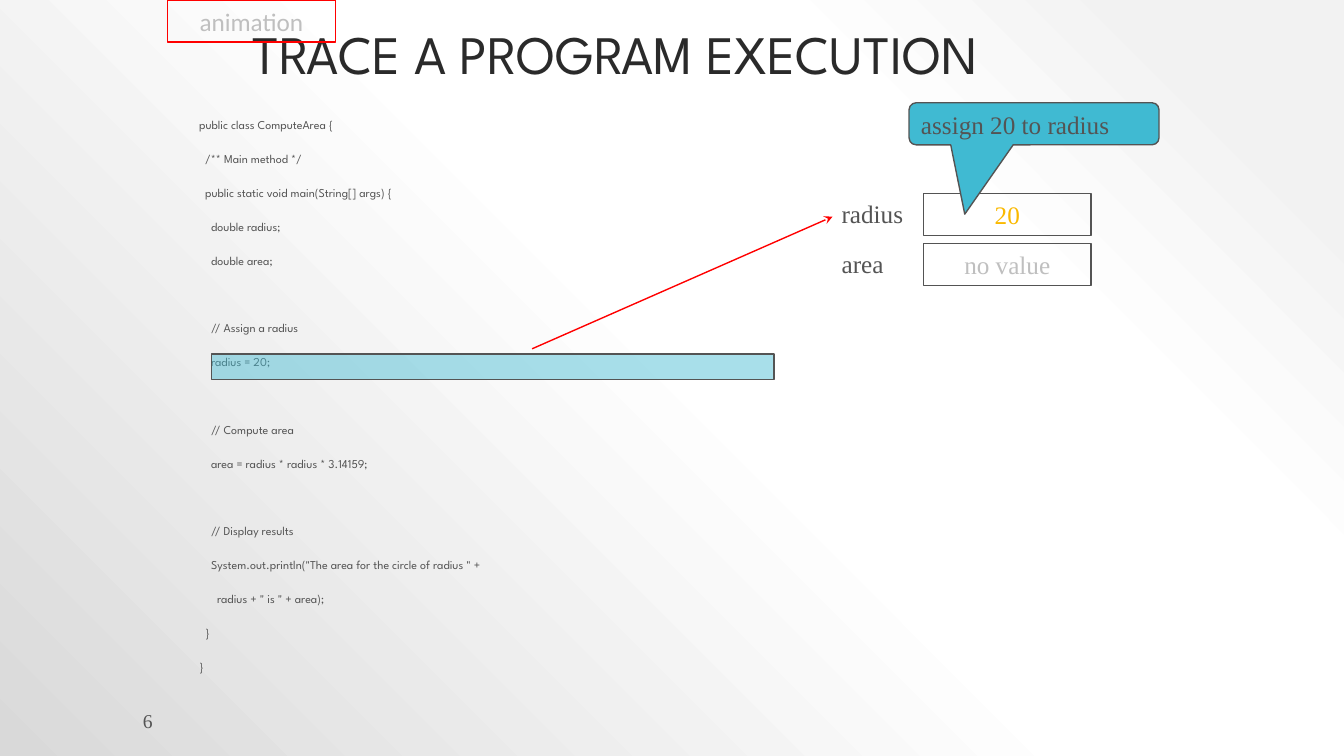
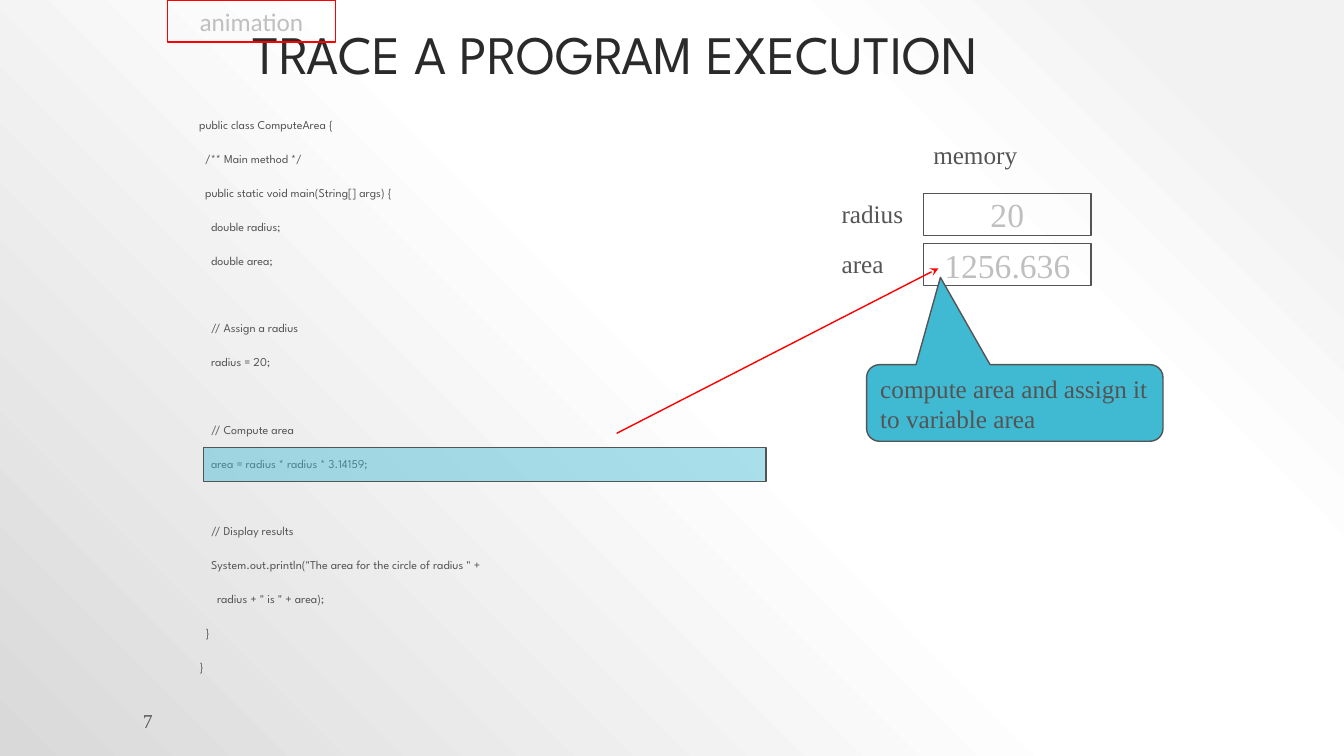
from lxml import etree
from pptx import Presentation
from pptx.dml.color import RGBColor
from pptx.enum.shapes import MSO_CONNECTOR, MSO_SHAPE
from pptx.enum.text import MSO_ANCHOR, MSO_AUTO_SIZE, PP_ALIGN
from pptx.oxml.ns import qn
from pptx.util import Cm, Pt

RECT = MSO_SHAPE.RECTANGLE
CALLOUT = MSO_SHAPE.ROUNDED_RECTANGULAR_CALLOUT
STRAIGHT = MSO_CONNECTOR.STRAIGHT
LEFT, CENTER = PP_ALIGN.LEFT, PP_ALIGN.CENTER
TOP, MIDDLE, BOTTOM = MSO_ANCHOR.TOP, MSO_ANCHOR.MIDDLE, MSO_ANCHOR.BOTTOM
NO_FIT = MSO_AUTO_SIZE.NONE

COLORS = {
    "text": "545454",
    "title": "2A2A2A",
    "muted": "BFBFBF",
    "new_value": "FAB900",
    "accent": "40BAD2",
    "signal": "FF0000",
}
BACKDROP = [(10, "F2F2F2"), (28, "FFFFFF"), (48, "FFFFFF"), (100, "D9D9D9")]
SERIF, SANS, DISPLAY = "Times New Roman", "Calibri", "League Spartan"

CELL_LEFT, CELL_WIDTH, CELL_HEIGHT = 23.27, 4.23, 1.06
MEMORY_TOP, MEMORY_PITCH = 4.87, 1.27

TITLE = "TRACE A PROGRAM EXECUTION"
CODE = """public class ComputeArea {
  /** Main method */
  public static void main(String[] args) {
    double radius;
    double area;
    
    // Assign a radius
    radius = 20;
    
    // Compute area
    area = radius * radius * 3.14159;
    
    // Display results
    System.out.println("The area for the circle of radius " +
      radius + " is " + area);
  }
}"""


def color(name):
    return RGBColor.from_string(COLORS[name])


def add_xml(parent, tag, **attributes):
    return etree.SubElement(parent, qn(tag), attributes)


class TraceDeck:
    def __init__(self):
        self.prs = Presentation()
        self.prs.slide_width, self.prs.slide_height = Cm(33.87), Cm(19.05)
        self.slide = None
        self.paint_backdrop()

    def paint_backdrop(self):
        master = self.prs.slide_master
        master.background.fill.gradient()
        gradient = master.element.find(".//" + qn("p:bg")).find(".//" + qn("a:gradFill"))
        for child in list(gradient):
            gradient.remove(child)
        stops = add_xml(gradient, "a:gsLst")
        for position, shade in BACKDROP:
            stop = add_xml(stops, "a:gs", pos=str(position * 1000))
            add_xml(stop, "a:srgbClr", val=shade)
        circle = add_xml(gradient, "a:path", path="circle")
        add_xml(circle, "a:fillToRect", l="100000", b="100000")

    def set_text(self, shape, text, size=18, font=SERIF, ink="text",
                 align=LEFT, anchor=TOP, wrap=True):
        frame = shape.text_frame
        frame.auto_size = NO_FIT
        frame.word_wrap = wrap
        frame.vertical_anchor = anchor
        frame.text = text
        for paragraph in frame.paragraphs:
            paragraph.alignment = align
            paragraph.font.size = Pt(size)
            paragraph.font.name = font
            paragraph.font.color.rgb = color(ink)
        return frame

    def start(self, number):
        self.slide = self.prs.slides.add_slide(self.prs.slide_layouts[5])
        title = self.slide.shapes.title
        title.left, title.top, title.width, title.height = map(Cm, (6.12, 0.84, 21.59, 1.47))
        heading = self.set_text(title, TITLE, 38.7, DISPLAY, "title", anchor=BOTTOM)
        heading.paragraphs[0].line_spacing = 0.9
        self.label((3.35, 17.91, 18.44, 0.51), str(number), size=14, anchor=MIDDLE)
        self.code()

    def label(self, box, text, **style):
        area = self.slide.shapes.add_textbox(*map(Cm, box))
        return self.set_text(area, text, **style)

    def code(self):
        listing = self.label((4.65, 2.97, 15.44, 14.4), CODE, size=8.6, font=DISPLAY)
        for index, line in enumerate(listing.paragraphs):
            line.line_spacing = 0.6
            line.space_before = Pt(18 if index else 0)
            properties = line._p.get_or_add_pPr()
            properties.set("marL", str(Cm(0.76)))
            properties.set("indent", str(Cm(-0.64)))

    def shape(self, kind, box, fill=None, outline="text"):
        shape = self.slide.shapes.add_shape(kind, *map(Cm, box))
        shape.shadow.inherit = False
        if fill:
            shape.fill.solid()
            shape.fill.fore_color.rgb = color(fill)
        else:
            shape.fill.background()
        shape.line.color.rgb = color(outline)
        shape.line.width = Pt(1)
        return shape

    def framed(self, box, text, outline="text", **style):
        self.set_text(self.shape(RECT, box, outline=outline), text,
                      align=CENTER, anchor=MIDDLE, wrap=False, **style)

    def memory(self, variables):
        for row, (name, value, size, ink) in enumerate(variables):
            top = MEMORY_TOP + row * MEMORY_PITCH
            self.framed((CELL_LEFT, top, CELL_WIDTH, CELL_HEIGHT), value, size=size, ink=ink)
            self.label((20.96, top, 2.33, 1.02), name)

    def highlight(self, box):
        band = self.shape(RECT, box, "accent")
        shade = band._element.spPr.find(qn("a:solidFill")).find(qn("a:srgbClr"))
        add_xml(shade, "a:alpha", val="45000")

    def callout(self, box, text, tip):
        bubble = self.shape(CALLOUT, box, "accent")
        for index, value in enumerate((*tip, 0.167)):
            bubble.adjustments[index] = value
        self.set_text(bubble, text)

    def arrow(self, start, end):
        arrow = self.slide.shapes.add_connector(STRAIGHT, *map(Cm, (*start, *end)))
        arrow.line.color.rgb = color("signal")
        arrow.line.width = Pt(1)
        properties = arrow._element.spPr
        add_xml(properties.find(qn("a:ln")), "a:tailEnd", type="stealth")
        add_xml(properties, "a:effectLst")

    def badge(self):
        self.framed((4.22, 0, CELL_WIDTH, CELL_HEIGHT), "animation", "signal",
                    font=SANS, ink="muted")


def main():
    deck = TraceDeck()

    deck.start(6)
    deck.memory([("radius", "20", 18, "new_value"), ("area", "no value", 18, "muted")])
    deck.highlight((5.33, 8.92, 14.18, 0.64))
    deck.callout((22.91, 2.59, 6.3, 1.06), "assign 20 to radius", (-0.277, 2.149))
    deck.arrow((13.41, 8.79), (20.98, 5.46))
    deck.badge()

    deck.start(7)
    deck.memory([("radius", "20", 24, "muted"), ("area", "1256.636", 24, "muted")])
    deck.label((CELL_LEFT, 3.38, 4.01, 1.02), "memory")
    deck.highlight((5.13, 11.28, 14.18, 0.86))
    deck.arrow((15.54, 10.92), (23.65, 6.76))
    deck.callout((21.84, 9.19, 7.47, 1.93), "compute area and assign it to variable area",
                 (-0.251, -1.64))
    deck.badge()

    deck.prs.save("out.pptx")


if __name__ == "__main__":
    main()
